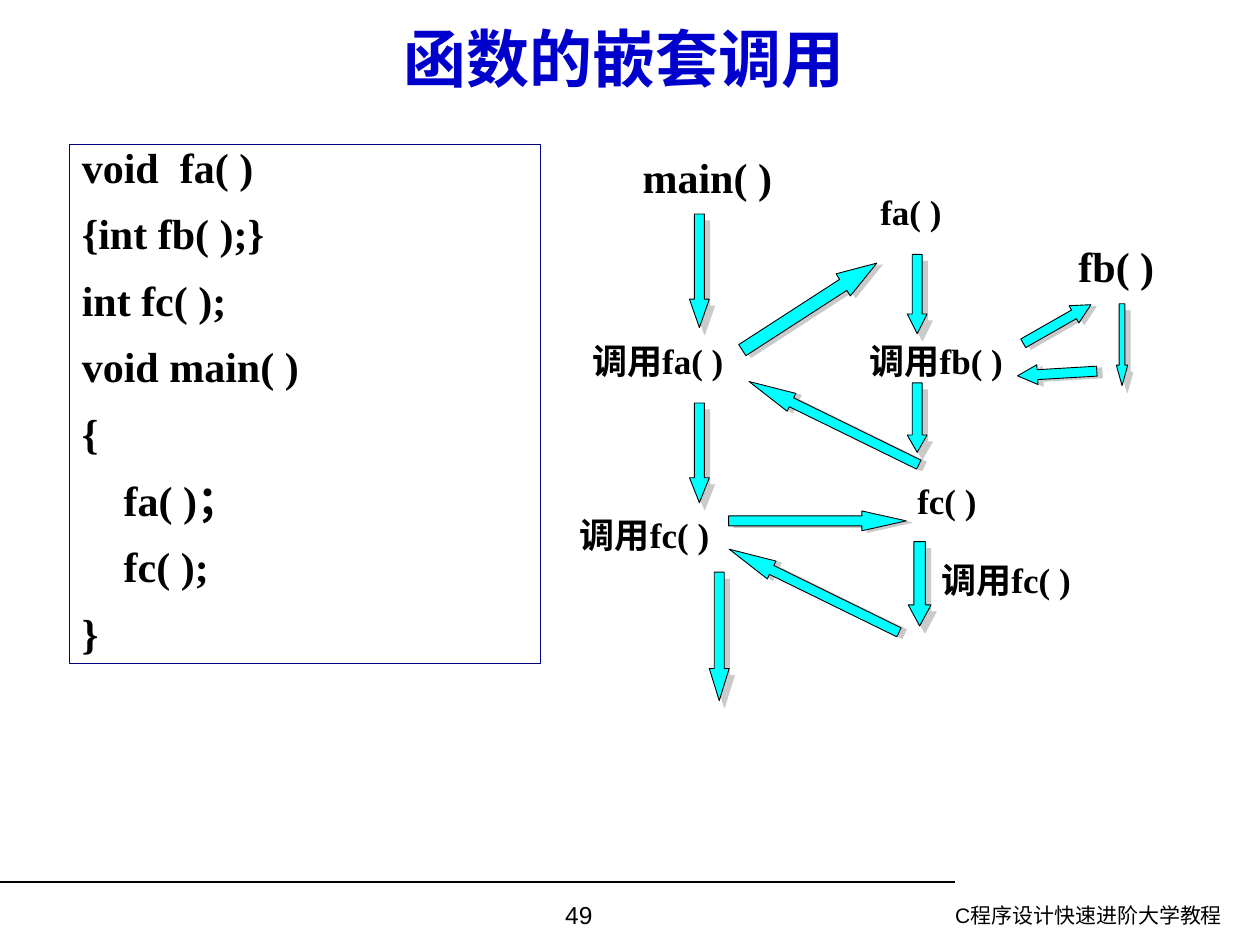
from lxml import etree
from pptx import Presentation
from pptx.dml.color import RGBColor
from pptx.enum.shapes import MSO_CONNECTOR, MSO_SHAPE
from pptx.enum.text import MSO_ANCHOR, MSO_AUTO_SIZE, PP_ALIGN
from pptx.oxml.ns import qn
from pptx.util import Cm, Pt

BLACK = RGBColor(0x00, 0x00, 0x00)
NAVY = RGBColor(0x00, 0x00, 0x80)
BLUE = RGBColor(0x00, 0x00, 0xCC)
CYAN = RGBColor(0x00, 0xFF, 0xFF)
SHADOW_GREY = RGBColor(0xCA, 0xCA, 0xCA)


def write_text(shape, text, size=20, font="Times New Roman", color=BLACK, bold=True,
               align=PP_ALIGN.CENTER, anchor=MSO_ANCHOR.MIDDLE, wrap=True,
               line_spacing=None, space_before=0):
    """Fill a shape with one paragraph for each line of text."""
    frame = shape.text_frame
    frame.word_wrap = wrap
    frame.auto_size = MSO_AUTO_SIZE.NONE
    frame.vertical_anchor = anchor
    for index, line in enumerate(text.split("\n")):
        paragraph = frame.add_paragraph() if index else frame.paragraphs[0]
        paragraph.alignment = align
        paragraph.line_spacing = line_spacing
        paragraph.space_before = Pt(space_before if index else 0)
        run = paragraph.add_run()
        run.text = line
        run.font.size = Pt(size)
        run.font.name = font
        run.font.bold = bold
        run.font.color.rgb = color


def add_shadow(shape, distance, angle):
    """Give a shape a hard grey shadow; distance in points, angle in degrees."""
    shape.shadow.inherit = False
    effects = shape._element.spPr.find(qn("a:effectLst"))
    shadow = etree.SubElement(effects, qn("a:outerShdw"), dist=str(Pt(distance)),
                              dir=str(angle * 60000), algn="ctr", rotWithShape="0")
    etree.SubElement(shadow, qn("a:srgbClr"), val=str(SHADOW_GREY))


presentation = Presentation()
presentation.slide_width = Cm(25.4)
presentation.slide_height = Cm(19.05)
slide = presentation.slides.add_slide(presentation.slide_layouts[5])
shapes = slide.shapes

# Title
title = shapes.title
title.left, title.top, title.width, title.height = Cm(1.09), Cm(0.53), Cm(22.99), Cm(1.27)
write_text(title, "函数的嵌套调用", size=36, font="Arial", color=BLUE)

# Footer: rule, course name and page number
rule = shapes.add_connector(MSO_CONNECTOR.STRAIGHT, Cm(0), Cm(17.78), Cm(19.25), Cm(17.78))
rule.line.color.rgb = BLACK
rule.line.width = Pt(0.75)
etree.SubElement(rule._element.spPr, qn("a:effectLst"))

course = shapes.add_textbox(Cm(16.69), Cm(18.06), Cm(8.2), Cm(0.99))
write_text(course, "C程序设计快速进阶大学教程", size=12, font="Arial", bold=False,
           align=PP_ALIGN.RIGHT, anchor=MSO_ANCHOR.TOP)
page_number = shapes.add_textbox(Cm(8.71), Cm(18.01), Cm(5.92), Cm(1.04))
write_text(page_number, "49", size=14, font="Arial", bold=False, anchor=MSO_ANCHOR.TOP)

# Code listing
CODE = """void  fa( )
{int fb( );}
int fc( );
void main( )
{
    fa( )；
    fc( );
}"""
code_box = shapes.add_shape(MSO_SHAPE.RECTANGLE, Cm(1.4), Cm(2.92), Cm(9.5), Cm(10.46))
code_box.shadow.inherit = False
code_box.fill.background()
code_box.line.color.rgb = NAVY
code_box.line.width = Pt(0.75)
write_text(code_box, CODE, size=24, align=PP_ALIGN.LEFT, anchor=MSO_ANCHOR.TOP,
           line_spacing=0.8, space_before=15)

# Call arrows: centre x, centre y, width, length, rotation
ARROWS = [
    # main
    (14.1, 5.46, 0.4, 2.29, 0),
    (14.1, 9.13, 0.4, 2.01, 0),
    (14.5, 12.83, 0.4, 2.59, 0),
    # main to fa and back
    (16.32, 6.18, 0.53, 3.23, 237.1),
    (16.81, 8.53, 0.4, 3.81, 116.1),
    # fa
    (18.49, 5.93, 0.4, 1.6, 0),
    (18.49, 8.42, 0.4, 1.4, 0),
    # fa to fb and back
    (21.31, 6.53, 0.4, 1.57, 240.3),
    (21.31, 7.53, 0.4, 1.6, 86.6),
    # fb
    (22.62, 6.95, 0.23, 1.65, 0),
    # main to fc and back
    (16.48, 10.5, 0.4, 3.58, 270),
    (16.41, 11.91, 0.4, 3.81, 116.1),
    # fc
    (18.54, 11.77, 0.46, 1.7, 0),
]
for center_x, center_y, width, length, rotation in ARROWS:
    arrow = shapes.add_shape(MSO_SHAPE.DOWN_ARROW, Cm(center_x - width / 2),
                             Cm(center_y - length / 2), Cm(width), Cm(length))
    arrow.rotation = rotation
    arrow.adjustments[0] = 0.5
    arrow.adjustments[1] = length / width / 4  # head takes a quarter of the length
    arrow.fill.solid()
    arrow.fill.fore_color.rgb = CYAN
    arrow.line.color.rgb = BLACK
    arrow.line.width = Pt(0.5)
    if rotation:
        add_shadow(arrow, 3.2, 18)
    else:
        add_shadow(arrow, 5, 53)

# Function labels: text, left, top, width, size
LABELS = [
    ("main( )", 12.7, 2.92, 3.12, 24),
    ("fa( )", 17.5, 3.71, 1.73, 20),
    ("fb( )", 21.49, 4.72, 2.03, 24),
    ("fc( )", 18.24, 9.53, 1.7, 20),
    ("调用fa( )", 11.52, 6.71, 3.48, 20),
    ("调用fb( )", 17.2, 6.71, 3.35, 20),
    ("调用fc( )", 11.27, 10.21, 3.45, 20),
    ("调用fc( )", 18.64, 11.13, 3.28, 20),
]
for text, left, top, width, size in LABELS:
    label = shapes.add_textbox(Cm(left), Cm(top), Cm(width), Cm(1.27 if size == 24 else 1.12))
    write_text(label, text, size=size, wrap=False)

presentation.save("out.pptx")
